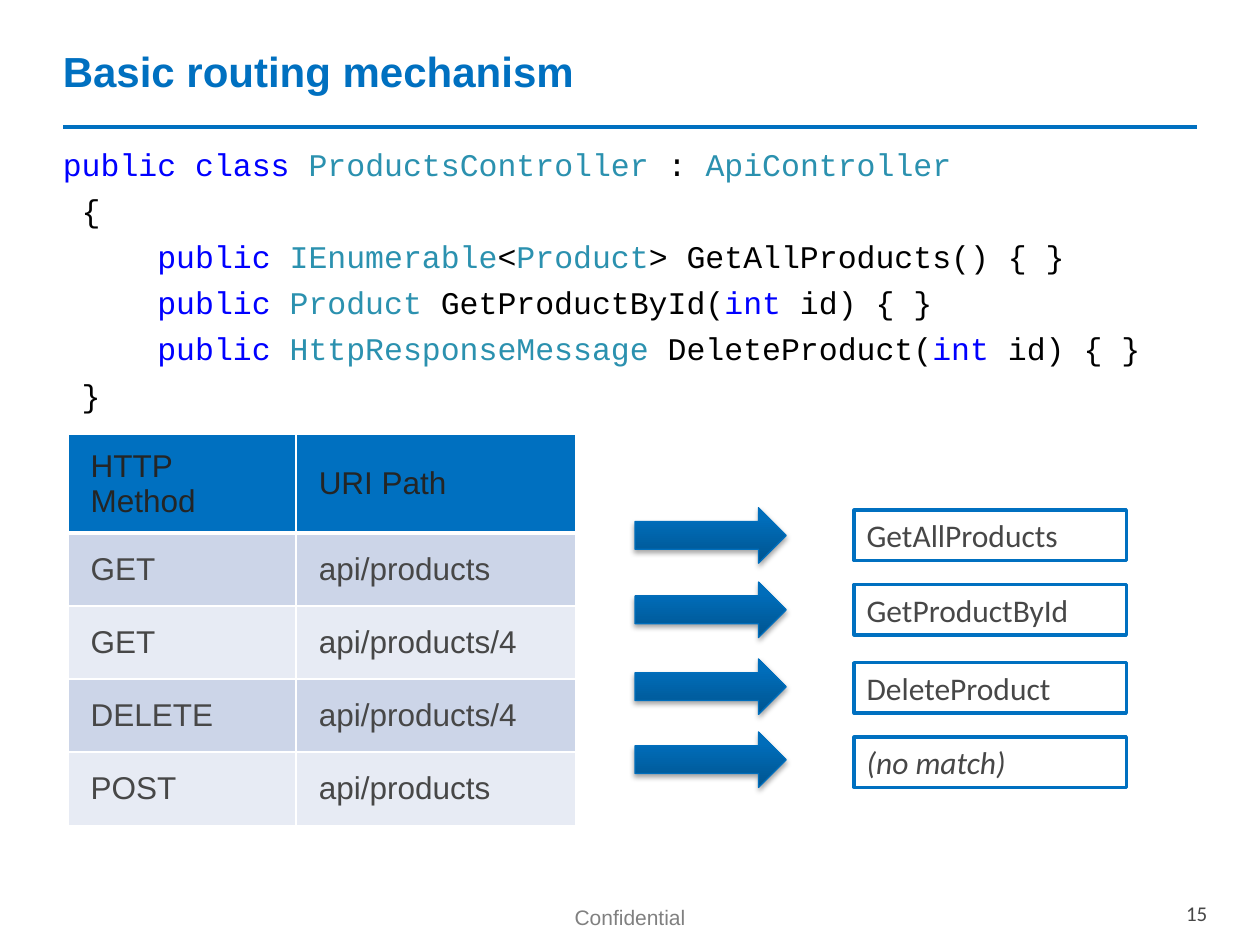
import pptx
import pptx.dml.color
import pptx.enum.shapes
import pptx.enum.text
import pptx.oxml
import pptx.oxml.ns
import pptx.util
from pptx.dml.color import RGBColor
from pptx.util import Inches

BLUE = RGBColor(0x00, 0x70, 0xC0)
ARROW_DARK = RGBColor(0x00, 0x54, 0x8F)
ARROW_LIGHT = RGBColor(0x00, 0x6D, 0xBA)
ARROW_LINE = RGBColor(0x00, 0x6E, 0xBC)
WHITE = RGBColor(0xFF, 0xFF, 0xFF)
BLACK = RGBColor(0x00, 0x00, 0x00)
GRAY = RGBColor(0x80, 0x80, 0x80)
TEXT = RGBColor(0x47, 0x47, 0x47)
HEADER_TEXT = RGBColor(0x24, 0x25, 0x25)
BAND_DARK = RGBColor(0xCC, 0xD5, 0xE8)
BAND_LIGHT = RGBColor(0xE7, 0xEB, 0xF4)
KEYWORD = RGBColor(0x00, 0x00, 0xFF)
TYPE = RGBColor(0x2B, 0x91, 0xAF)

ALIGN = pptx.enum.text.PP_ALIGN
ANCHOR = pptx.enum.text.MSO_ANCHOR
SHAPE = pptx.enum.shapes.MSO_SHAPE
NAMESPACE = pptx.oxml.ns.nsdecls("a")


def write_text(paragraph, text, size=18, font="Arial", color=TEXT,
               bold=False, italic=False, align=ALIGN.LEFT):
    paragraph.alignment = align
    run = paragraph.add_run()
    run.text = text
    run.font.size = pptx.util.Pt(size)
    run.font.name = font
    run.font.color.rgb = color
    run.font.bold = bold
    run.font.italic = italic


def add_text_frame(left, top, width, height, anchor=ANCHOR.TOP):
    box = slide.shapes.add_textbox(Inches(left), Inches(top), Inches(width), Inches(height))
    box.text_frame.word_wrap = True
    box.text_frame.vertical_anchor = anchor
    return box.text_frame


presentation = pptx.Presentation()
presentation.slide_width = Inches(10)
presentation.slide_height = Inches(7.5)
slide = presentation.slides.add_slide(presentation.slide_layouts[6])

rule = slide.shapes.add_connector(
    pptx.enum.shapes.MSO_CONNECTOR.STRAIGHT,
    Inches(0.5), Inches(1.01), Inches(9.5), Inches(1.01))
rule.line.color.rgb = BLUE
rule.line.width = pptx.util.Pt(2)
rule._element.spPr.append(pptx.oxml.parse_xml(f"<a:effectLst {NAMESPACE}/>"))

title = add_text_frame(0.4, 0.02, 9.29, 1.08, ANCHOR.MIDDLE)
write_text(title.paragraphs[0], "Basic routing mechanism", size=24, color=BLUE, bold=True)

footer = add_text_frame(3.94, 7.13, 2.12, 0.39)
write_text(footer.paragraphs[0], "Confidential", size=12, color=GRAY, align=ALIGN.CENTER)

page_number = add_text_frame(8.79, 7.1, 0.89, 0.27)
write_text(page_number.paragraphs[0], "15", size=12, font="Calibri", align=ALIGN.RIGHT)

code_lines = [
    (0, [("public ", KEYWORD), ("class ", KEYWORD), ("ProductsController", TYPE),
         (" : ", BLACK), ("ApiController", TYPE)]),
    (1, [("{", BLACK)]),
    (5, [("public ", KEYWORD), ("IEnumerable", TYPE), ("<", BLACK), ("Product", TYPE),
         ("> GetAllProducts() { }", BLACK)]),
    (5, [("public ", KEYWORD), ("Product", TYPE), (" GetProductById(", BLACK),
         ("int", KEYWORD), (" id) { }", BLACK)]),
    (5, [("public ", KEYWORD), ("HttpResponseMessage", TYPE), (" DeleteProduct(", BLACK),
         ("int", KEYWORD), (" id) { }", BLACK)]),
    (1, [("}", BLACK)]),
]
code = add_text_frame(0.4, 1.1, 9.28, 5.74)
for index, (indent, pieces) in enumerate(code_lines):
    paragraph = code.add_paragraph() if index else code.paragraphs[0]
    paragraph.space_before = pptx.util.Pt(4.8)
    paragraph._p.get_or_add_pPr().set("marL", str(Inches(0.15 * indent)))
    for text, color in pieces:
        write_text(paragraph, text, font="Courier New", color=color)

rows = [
    ("HTTP Method", "URI Path"),
    ("GET", "api/products"),
    ("GET", "api/products/4"),
    ("DELETE", "api/products/4"),
    ("POST", "api/products"),
]
table = slide.shapes.add_table(
    len(rows), 2, Inches(0.54), Inches(3.45), Inches(4.03), Inches(3.04)).table
for column, width in zip(table.columns, (1.81, 2.22)):
    column.width = Inches(width)
for row_index, row in enumerate(rows):
    header = row_index == 0
    table.rows[row_index].height = Inches(0.76 if header else 0.57)
    for column_index, text in enumerate(row):
        cell = table.cell(row_index, column_index)
        cell.vertical_anchor = ANCHOR.MIDDLE
        cell.margin_left = cell.margin_right = Inches(0.18)
        cell.margin_top = cell.margin_bottom = Inches(0.09 if header else 0.14)
        for side in ("L", "R", "T", "B"):
            thick = (header and side == "B") or (row_index == 1 and side == "T")
            cell._tc.get_or_add_tcPr().append(pptx.oxml.parse_xml(
                f'<a:ln{side} {NAMESPACE} w="{pptx.util.Pt(3 if thick else 1)}">'
                f'<a:solidFill><a:srgbClr val="{WHITE}"/></a:solidFill></a:ln{side}>'))
        cell.fill.solid()
        cell.fill.fore_color.rgb = BLUE if header else BAND_DARK if row_index % 2 else BAND_LIGHT
        write_text(cell.text_frame.paragraphs[0], text, color=HEADER_TEXT if header else TEXT)

actions = [
    ("GetAllProducts", 4.05, 4.03),
    ("GetProductById", 4.64, 4.62),
    ("DeleteProduct", 5.26, 5.23),
    ("(no match)", 5.85, 5.81),
]
for action, box_top, arrow_top in actions:
    box = slide.shapes.add_shape(
        SHAPE.RECTANGLE, Inches(6.78), Inches(box_top), Inches(2.16), Inches(0.4))
    box.shadow.inherit = False
    box.fill.solid()
    box.fill.fore_color.rgb = WHITE
    box.line.color.rgb = BLUE
    box.line.width = pptx.util.Pt(2)
    box.text_frame.word_wrap = True
    box.text_frame.vertical_anchor = ANCHOR.TOP
    write_text(box.text_frame.paragraphs[0], action, font="Calibri",
               italic=action == "(no match)")

    arrow = slide.shapes.add_shape(
        SHAPE.RIGHT_ARROW, Inches(5.04), Inches(arrow_top), Inches(1.2), Inches(0.44))
    arrow.fill.gradient()
    arrow.fill.gradient_angle = 90
    for stop, color, position in zip(
            arrow.fill.gradient_stops, (ARROW_DARK, ARROW_LIGHT), (0, 0.8)):
        stop.color.rgb = color
        stop.position = position
    arrow.line.color.rgb = ARROW_LINE
    arrow.line.width = pptx.util.Pt(0.75)
    arrow._element.spPr.append(pptx.oxml.parse_xml(
        f'<a:effectLst {NAMESPACE}><a:outerShdw blurRad="{pptx.util.Pt(3.1)}" '
        f'dist="{pptx.util.Pt(1.8)}" dir="5400000" rotWithShape="0">'
        f'<a:srgbClr val="{BLACK}"><a:alpha val="35000"/></a:srgbClr>'
        '</a:outerShdw></a:effectLst>'))

presentation.save("out.pptx")
